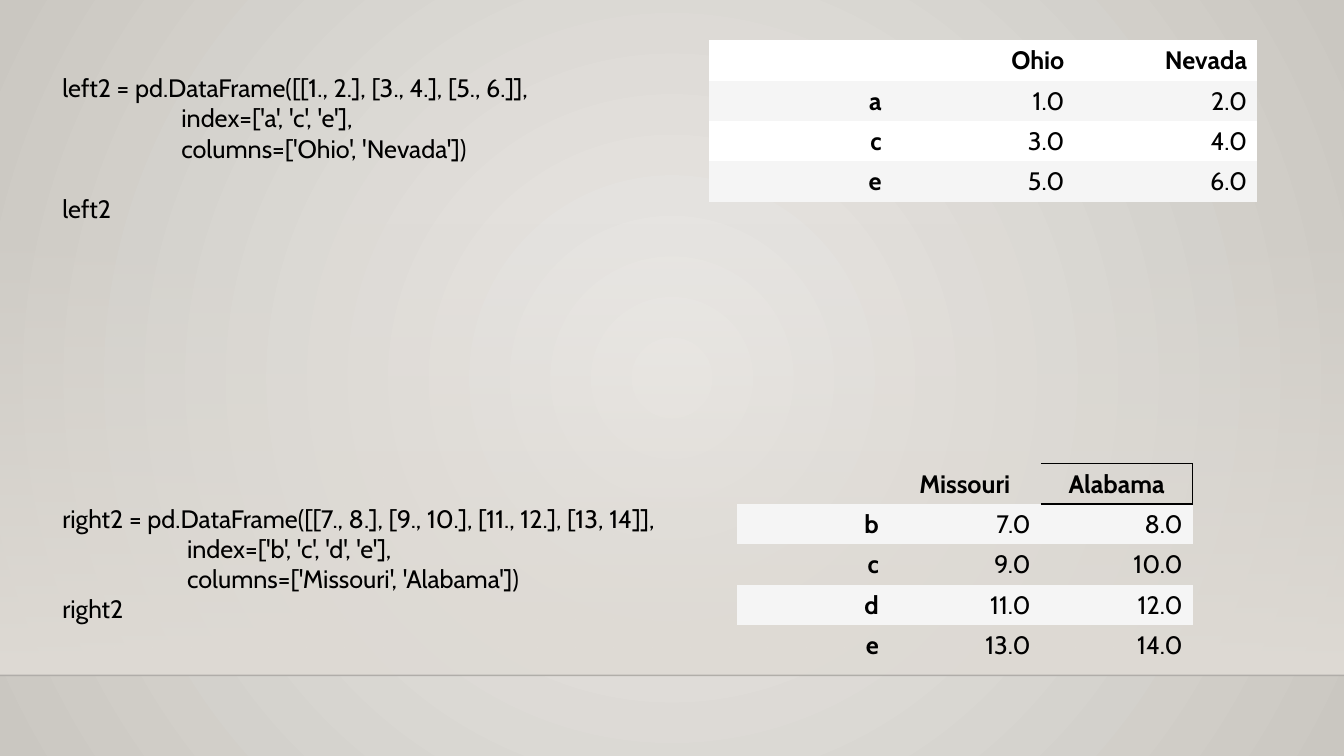
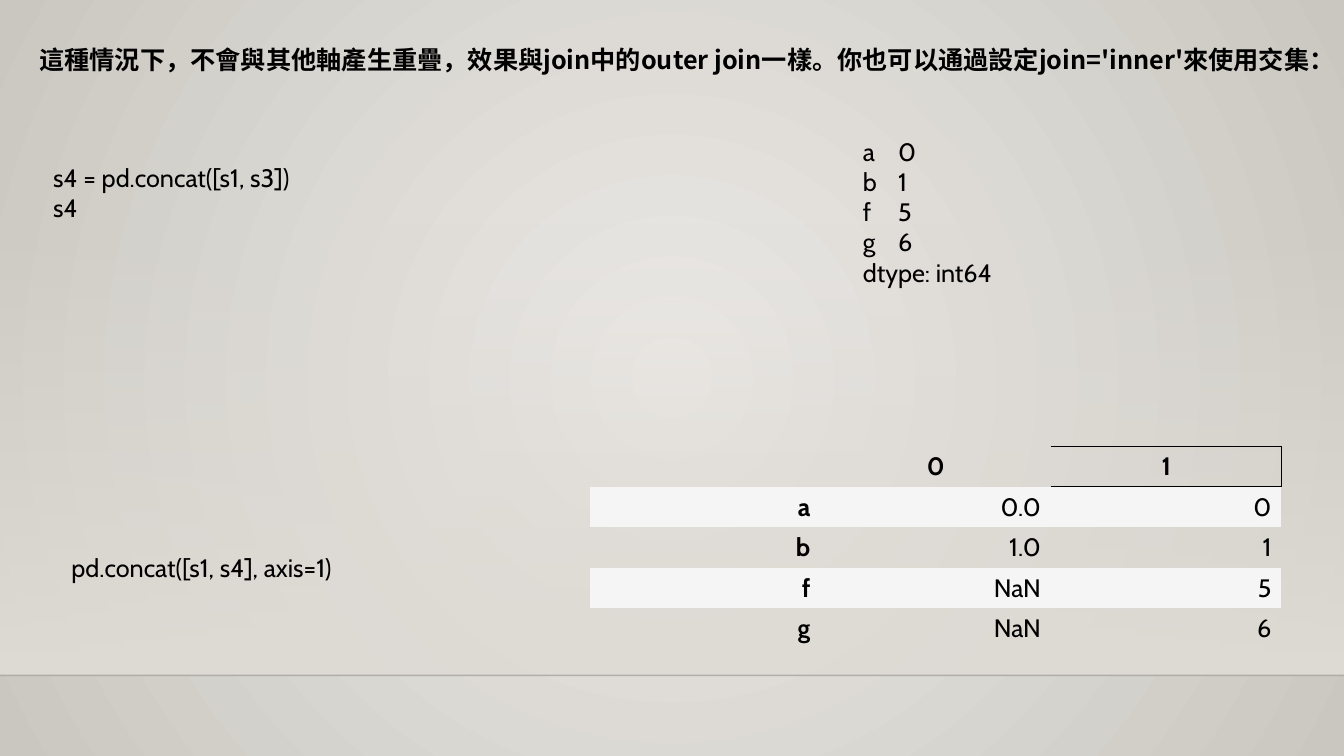
from dataclasses import dataclass

from pptx import Presentation
from pptx import util as u
from pptx.dml.color import RGBColor
from pptx.enum import shapes, text
from pptx.oxml import parse_xml
from pptx.oxml.ns import nsdecls, qn


@dataclass(frozen=True)
class Theme:
    ink: str = "000000"
    white: str = "FFFFFF"
    stripe: str = "F5F5F5"
    glow: str = "ECEAE7"
    edge: str = "CAC7C1"
    band: str = "DFDBD5"
    rule: str = "000001"
    body_font: str = "Cabin"
    heading_font: str = "Noto Sans CJK SC"
    size: float = 18
    line_pitch: float = 21.6
    table_style: str = "{2D5ABB26-0587-4C30-8999-92F81FD0307C}"


def color(value):
    return RGBColor.from_string(value)


def replace_with_gradient(solid_fill, stops, direction):
    marks = "".join(
        f'<a:gs pos="{position * 1000}"><a:srgbClr val="{value}">'
        f'<a:alpha val="{alpha * 1000}"/></a:srgbClr></a:gs>'
        for position, value, alpha in stops
    )
    gradient = parse_xml(
        f'<a:gradFill {nsdecls("a")} rotWithShape="1"><a:gsLst>{marks}</a:gsLst>{direction}</a:gradFill>'
    )
    solid_fill.getparent().replace(solid_fill, gradient)


class Deck:
    def __init__(self, theme):
        self.theme = theme
        self.presentation = Presentation()
        self.presentation.slide_width = u.Inches(13.33)
        self.presentation.slide_height = u.Inches(7.5)
        self.slide = None

    def add_slide(self, layout):
        self.slide = self.presentation.slides.add_slide(self.presentation.slide_layouts[layout])

    def style_master(self):
        theme = self.theme
        master = self.presentation.slide_master
        master.background.fill.solid()
        replace_with_gradient(
            master.element.xpath(".//p:bgPr/a:solidFill")[0],
            [(0, theme.glow, 100), (100, theme.edge, 100)],
            '<a:path path="circle"><a:fillToRect l="50000" t="50000" r="50000" b="50000"/></a:path>',
        )
        width, floor = self.presentation.slide_width, u.Inches(6.7)
        band = self.slide.shapes.add_shape(
            shapes.MSO_SHAPE.RECTANGLE, 0, u.Inches(2.21), width, u.Inches(4.49)
        )
        band.shadow.inherit = False
        band.line.fill.background()
        band.fill.solid()
        replace_with_gradient(
            band.element.spPr.find(qn("a:solidFill")),
            [(0, theme.band, 0), (100, theme.band, 100)],
            '<a:lin ang="5400000" scaled="0"/>',
        )
        rule = self.slide.shapes.add_connector(shapes.MSO_CONNECTOR.STRAIGHT, 0, floor, width, floor)
        rule.line.width = u.Pt(1)
        rule.line.color.rgb = color(theme.rule)
        rule.element.xpath(".//a:ln//a:srgbClr")[0].append(
            parse_xml(f'<a:alpha {nsdecls("a")} val="20000"/>')
        )
        rule.element.spPr.append(parse_xml(f'<a:effectLst {nsdecls("a")}/>'))
        for order, shape in enumerate((band, rule), start=2):
            shape.element.xpath(".//p:cNvPr")[0].set("id", str(100 + order))
            master.shapes.element.insert(order, shape.element)

    def add_run(self, paragraph, words, bold=False, font_name=None):
        run = paragraph.add_run()
        run.text = words
        run.font.name = font_name or self.theme.body_font
        run.font.size = u.Pt(self.theme.size)
        run.font.bold = bold
        run.font.color.rgb = color(self.theme.ink)
        return run

    def add_heading(self, words, left, top, width, height):
        title = self.slide.shapes.title
        title.left, title.top = u.Inches(left), u.Inches(top)
        title.width, title.height = u.Inches(width), u.Inches(height)
        frame = title.text_frame
        frame.word_wrap = True
        frame.auto_size = text.MSO_AUTO_SIZE.NONE
        frame.vertical_anchor = text.MSO_ANCHOR.TOP
        paragraph = frame.paragraphs[0]
        paragraph.alignment = text.PP_ALIGN.LEFT
        paragraph.line_spacing = u.Pt(self.theme.line_pitch)
        run = self.add_run(paragraph, words, True, self.theme.heading_font)
        run.font.fill._xPr.find(qn("a:latin")).addnext(
            parse_xml(f'<a:ea {nsdecls("a")} typeface="{self.theme.heading_font}"/>')
        )

    def add_code(self, lines, left, top, width, height, gap_before=None, tab=None):
        box = self.slide.shapes.add_textbox(
            u.Inches(left), u.Inches(top), u.Inches(width), u.Inches(height)
        )
        frame = box.text_frame
        frame.word_wrap = True
        for index, line in enumerate(lines):
            paragraph = frame.add_paragraph() if index else frame.paragraphs[0]
            if index == gap_before:
                paragraph.space_before = u.Pt(self.theme.line_pitch)
            if tab:
                paragraph._p.get_or_add_pPr().append(parse_xml(
                    f'<a:tabLst {nsdecls("a")}><a:tab pos="{u.Inches(tab)}" algn="l"/></a:tabLst>'
                ))
            self.add_run(paragraph, line)

    def add_data_frame(self, rows, left, top, width, base=None):
        row_count, column_count = len(rows), len(rows[0])
        graphic = self.slide.shapes.add_table(
            row_count, column_count, u.Inches(left), u.Inches(top),
            u.Inches(width), u.Inches(0.4 * row_count),
        )
        graphic.element.xpath(".//a:tableStyleId")[0].text = self.theme.table_style
        table = graphic.table
        table.first_row = table.horz_banding = False
        header_alignment = text.PP_ALIGN.RIGHT if base else text.PP_ALIGN.CENTER
        for row_index, row in enumerate(rows):
            fill = self.theme.stripe if row_index % 2 else base
            for column_index, words in enumerate(row):
                cell = table.cell(row_index, column_index)
                cell.vertical_anchor = text.MSO_ANCHOR.MIDDLE
                if fill:
                    cell.fill.solid()
                    cell.fill.fore_color.rgb = color(fill)
                else:
                    cell.fill.background()
                if words:
                    paragraph = cell.text_frame.paragraphs[0]
                    paragraph.alignment = text.PP_ALIGN.RIGHT if row_index else header_alignment
                    self.add_run(paragraph, words, bold=row_index == 0 or column_index == 0)
        if not base:
            self.outline_cell(graphic.element.xpath(".//a:tc")[column_count - 1])

    def outline_cell(self, cell_element):
        properties = cell_element.find(qn("a:tcPr"))
        for order, side in enumerate(("lnR", "lnT", "lnB")):
            properties.insert(order, parse_xml(
                f'<a:{side} {nsdecls("a")} w="{u.Pt(1)}"><a:solidFill>'
                f'<a:srgbClr val="{self.theme.ink}"/></a:solidFill></a:{side}>'
            ))


def main():
    theme = Theme()
    deck = Deck(theme)

    deck.add_slide(6)
    deck.style_master()
    deck.add_code([
        "left2 = pd.DataFrame([[1., 2.], [3., 4.], [5., 6.]],",
        "                     index=['a', 'c', 'e'],",
        "                     columns=['Ohio', 'Nevada'])",
        "left2",
    ], 0.52, 0.67, 6.67, 1.62, gap_before=3)
    deck.add_data_frame([
        ("", "Ohio", "Nevada"),
        ("a", "1.0", "2.0"),
        ("c", "3.0", "4.0"),
        ("e", "5.0", "6.0"),
    ], 7.03, 0.4, 5.44, base=theme.white)
    deck.add_code([
        "right2 = pd.DataFrame([[7., 8.], [9., 10.], [11., 12.], [13, 14]],",
        "                      index=['b', 'c', 'd', 'e'],",
        "                      columns=['Missouri', 'Alabama'])",
        "right2",
    ], 0.52, 4.94, 6.67, 1.31)
    deck.add_data_frame([
        ("", "Missouri", "Alabama"),
        ("b", "7.0", "8.0"),
        ("c", "9.0", "10.0"),
        ("d", "11.0", "12.0"),
        ("e", "13.0", "14.0"),
    ], 7.31, 4.6, 4.52)

    deck.add_slide(5)
    deck.add_heading(
        "這種情況下，不會與其他軸產生重疊，效果與join中的outer join一樣。"
        "你也可以通過設定join='inner'來使用交集：",
        0.29, 0.39, 12.88, 0.71,
    )
    deck.add_code(["s4 = pd.concat([s1, s3])", "s4"], 0.43, 1.56, 6.67, 0.71)
    deck.add_code(
        ["a\t0", "b\t1", "f\t5", "g\t6", "dtype: int64"], 8.46, 1.3, 3.06, 1.62, tab=0.35
    )
    deck.add_code(["pd.concat([s1, s4], axis=1)"], 0.61, 5.43, 2.85, 0.4)
    deck.add_data_frame([
        ("", "0", "1"),
        ("a", "0.0", "0"),
        ("b", "1.0", "1"),
        ("f", "NaN", "5"),
        ("g", "NaN", "6"),
    ], 5.85, 4.43, 6.86)

    deck.presentation.save("out.pptx")


if __name__ == "__main__":
    main()
